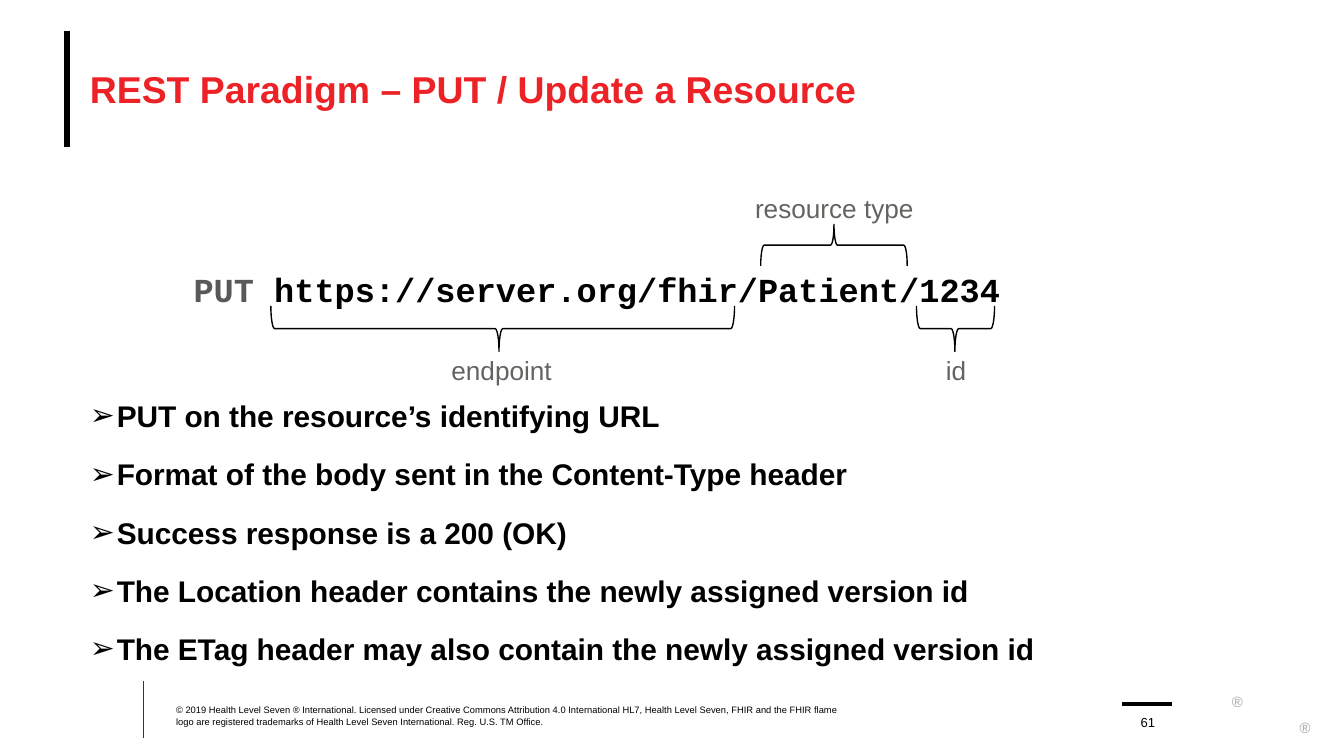
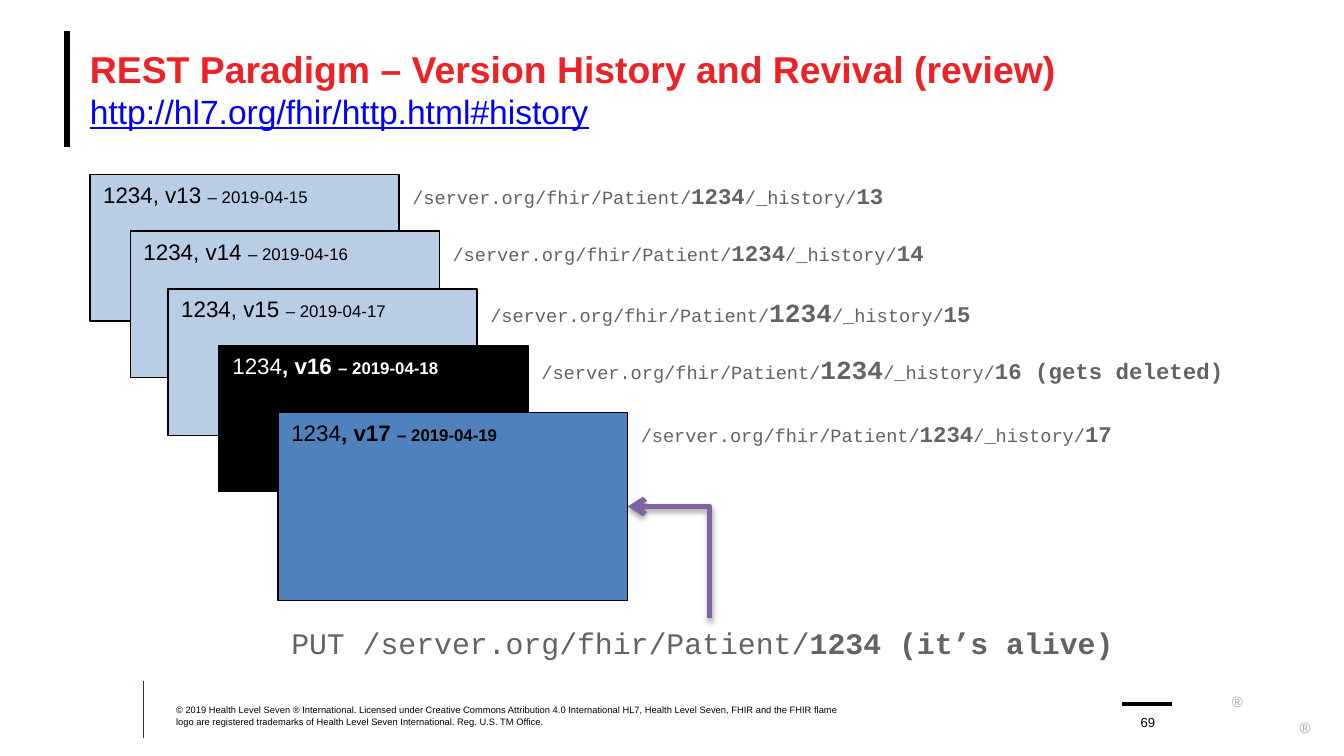
from collections import namedtuple

from lxml.etree import SubElement
from pptx import Presentation
from pptx.dml.color import RGBColor
from pptx.enum.shapes import MSO_CONNECTOR as Connector, MSO_SHAPE as Shape
from pptx.enum.text import MSO_ANCHOR as Anchor, PP_ALIGN as Align
from pptx.oxml.ns import qn
from pptx.util import Pt

COLORS = {
    "black": "000000",
    "white": "FFFFFF",
    "title": "EC2227",
    "link": "0000FF",
    "rule": "3D3029",
    "mark": "A6A6A6",
    "method": "595959",
    "label": "636360",
    "past": "B9CDE5",
    "current": "4F81BD",
    "arrow": "8064A2",
}
SANS, MONO = "Arial", "Courier New"
INSETS = (7.2, 3.6)

TITLE_BOX = (48.2, 16.6, 648, 61.9)
FOOTER_BOX = (77, 365, 628, 30.3)
COPYRIGHT = (
    "© 2019 Health Level Seven ® International. Licensed under Creative Commons "
    "Attribution 4.0 International HL7, Health Level Seven, FHIR and the FHIR flame "
    "logo are registered trademarks of Health Level Seven International. "
    "Reg. U.S. TM Office."
)

Span = namedtuple("Span", "text size color bold underline font",
                  defaults=("black", False, False, SANS))
Brace = namedtuple("Brace", "label label_box box rotation peak")
Version = namedtuple("Version", "number day box label_width fill ink bold id_size note",
                     defaults=("past", "black", False, 12, ""))

# Boxes are relative to the request line
BRACES = [
    Brace("endpoint", (131, 42.5, 68.4, 24.5), (41.4, 19.8, 248.4, 24.5), 270, 0.492),
    Brace("resource type", (293.7, -44.6, 100.1, 24.5), (303.8, -23.8, 78.5, 22.3), 90, 0.5),
    Brace("id", (396, 42.5, 28.8, 24.5), (387.3, 19.8, 41.8, 24.5), 270, 0.492),
]
PUT_RULES = [
    "PUT on the resource’s identifying URL",
    "Format of the body sent in the Content-Type header",
    "Success response is a 200 (OK)",
    "The Location header contains the newly assigned version id",
    "The ETag header may also contain the newly assigned version id",
]
VERSIONS = [
    Version(13, "2019-04-15", (48.2, 93.6, 165.6, 78.5), 387.4),
    Version(14, "2019-04-16", (69.8, 123.8, 165.6, 78.5), 398.2),
    Version(15, "2019-04-17", (90, 154.8, 165.6, 78.5), 396, id_size=14),
    Version(16, "2019-04-18", (117.4, 185, 165.6, 78.5), 396, "black", "white", True,
            14, " (gets deleted)"),
    Version(17, "2019-04-19", (149, 221, 187.2, 100.8), 356.4, "current", bold=True),
]


def rgb(name):
    return RGBColor.from_string(COLORS[name])


def points(*lengths):
    return [Pt(length) for length in lengths]


def inside(box, left, top, width, height):
    """Turn a box relative to another box into a box on the page."""
    return box[0] + left, box[1] + top, width, height


def write(para, spans):
    for span in spans:
        run = para.add_run()
        run.text = span.text
        run.font.name = span.font
        run.font.size = Pt(span.size)
        run.font.bold = span.bold
        run.font.underline = span.underline
        run.font.color.rgb = rgb(span.color)


def set_frame(frame, insets, anchor=Anchor.TOP, wrap=True):
    frame.margin_left = frame.margin_right = Pt(insets[0])
    frame.margin_top = frame.margin_bottom = Pt(insets[1])
    frame.vertical_anchor = anchor
    frame.word_wrap = wrap


def add_text(page, box, spans, insets=(0, 0), anchor=Anchor.TOP, wrap=True):
    frame = page.shapes.add_textbox(*points(*box)).text_frame
    set_frame(frame, insets, anchor, wrap)
    write(frame.paragraphs[0], spans)
    return frame


def add_effects(connector):
    return SubElement(connector._element.spPr, qn("a:effectLst"))


def add_rule(page, start, end, color, width):
    rule = page.shapes.add_connector(Connector.STRAIGHT, *points(*start, *end))
    rule.line.color.rgb = rgb(color)
    rule.line.width = Pt(width)
    add_effects(rule)


def add_outlined(page, kind, box):
    shape = page.shapes.add_shape(kind, *points(*box))
    shape.shadow.inherit = False
    shape.line.color.rgb = rgb("black")
    shape.line.width = Pt(0.75)
    return shape


def draw_title(page, box, title, link=None):
    left, top, width, height = box
    add_rule(page, (left - 12.2, top), (left - 12.2, top + height), "black", 3.25)
    frame = add_text(page, box, [Span(title, 20, "title", True)], anchor=Anchor.MIDDLE)
    if link:
        para = frame.paragraphs[0]
        para.add_line_break()
        write(para, [Span(link, 18, "link", underline=True)])


def draw_footer(page, box, number):
    left, top, width, height = box
    add_rule(page, (left, top), (left, top + height), "rule", 0.5)
    add_rule(page, (left + 524.2, top + 12.3), (left + 550.8, top + 12.3), "black", 2)
    for x, y in [(582.9, 5.8), (619.2, 20.2)]:
        add_text(page, inside(box, x, y, 8, 9.2), [Span("®", 8, "mark")], wrap=False)
    add_text(page, inside(box, 17.3, 12.3, 356.4, 12.2), [Span(COPYRIGHT, 5)],
             anchor=Anchor.BOTTOM)
    frame = add_text(page, inside(box, 527.1, 12.3, 21.6, 13.7), [Span(str(number), 7)],
                     anchor=Anchor.BOTTOM)
    frame.paragraphs[0].alignment = Align.CENTER


def draw_brace(page, box, brace):
    left, top, width, height = inside(box, *brace.box)
    # The frame is upright before it is turned about its centre
    upright = (left + (width - height) / 2, top + (height - width) / 2, height, width)
    shape = add_outlined(page, Shape.LEFT_BRACE, upright)
    shape.fill.background()
    shape.rotation = brace.rotation
    shape.adjustments[0] = 0.083
    shape.adjustments[1] = brace.peak
    add_text(page, inside(box, *brace.label_box), [Span(brace.label, 14, "label")],
             INSETS, wrap=False)


def draw_request(page, box):
    """Draw the request line with a brace for each part of its address."""
    add_text(page, box, [
        Span("PUT", 18, "method", True, font=MONO),
        Span(" https://server.org/fhir/Patient/1234", 18, bold=True, font=MONO),
    ])
    for brace in BRACES:
        draw_brace(page, box, brace)


def draw_bullets(page, box, lines):
    frame = page.shapes.add_textbox(*points(*box)).text_frame
    set_frame(frame, (0, 0))
    for index, line in enumerate(lines):
        para = frame.add_paragraph() if index else frame.paragraphs[0]
        props = para._p.get_or_add_pPr()
        props.set("marL", str(Pt(14.4)))
        props.set("indent", str(-Pt(14.4)))
        SubElement(props, qn("a:buFont"), typeface=SANS)
        SubElement(props, qn("a:buChar"), char="➢")
        para.space_before = Pt(6 if index else 0)
        para.space_after = Pt(6)
        write(para, [Span(line, 16, bold=True)])


def draw_version(page, box, version):
    """Draw the card of a version and, to its right, its address."""
    left, top, width, height = box
    card = add_outlined(page, Shape.RECTANGLE, box)
    card.fill.solid()
    card.fill.fore_color.rgb = rgb(version.fill)
    set_frame(card.text_frame, INSETS)
    para = card.text_frame.paragraphs[0]
    para.alignment = Align.LEFT
    write(para, [
        Span("1234", 12, version.ink),
        Span(f", v{version.number} ", 12, version.ink, version.bold),
        Span(f"– {version.day}", 9, version.ink, version.bold),
    ])
    label_height = 24.5 if version.id_size == 14 else 21.6
    add_text(page, (left + width, top + 0.7, version.label_width, label_height), [
        Span("/server.org/fhir/Patient/", 10, "label", font=MONO),
        Span("1234", version.id_size, "label", True, font=MONO),
        Span("/_history/", 10, "label", font=MONO),
        Span(f"{version.number}{version.note}", 12, "label", True, font=MONO),
    ], INSETS)


def draw_revival(page, box):
    """Draw the request that revives the record and its arrow up to the last card."""
    left, top, width, height = box
    add_text(page, box, [
        Span("PUT /server.org/fhir/Patient/", 16, "label", font=MONO),
        Span("1234 (it’s alive)", 16, "label", True, font=MONO),
    ], INSETS)

    run, rise = 43.9, 59.8
    center_x, center_y = left + 187.2 + run / 2, top - rise / 2
    arrow = page.shapes.add_connector(Connector.ELBOW, *points(
        center_x - rise / 2, center_y + run / 2, center_x + rise / 2, center_y - run / 2))
    arrow.line.color.rgb = rgb("arrow")
    arrow.line.width = Pt(3)
    props = arrow._element.spPr
    props.find(qn("a:xfrm")).set("rot", str(270 * 60000))
    props.find(qn("a:prstGeom")).set("prst", "bentConnector2")
    SubElement(props.find(qn("a:ln")), qn("a:tailEnd"), type="arrow")
    shadow = SubElement(add_effects(arrow), qn("a:outerShdw"), blurRad=str(Pt(3.1)),
                        dist=str(Pt(1.8)), dir=str(90 * 60000), rotWithShape="0")
    shade = SubElement(shadow, qn("a:srgbClr"), val=COLORS["black"])
    SubElement(shade, qn("a:alpha"), val="35000")


def add_page(deck, number, title, link=None):
    page = deck.slides.add_slide(deck.slide_layouts[6])
    draw_title(page, TITLE_BOX, title, link)
    draw_footer(page, FOOTER_BOX, number)
    return page


def add_update_page(deck):
    page = add_page(deck, 61, "REST Paradigm – PUT / Update a Resource")
    draw_request(page, (103.7, 144, 437.8, 25.2))
    draw_bullets(page, (48.2, 213.1, 648, 78.5), PUT_RULES)


def add_history_page(deck):
    page = add_page(deck, 69, "REST Paradigm – Version History and Revival (review)",
                    "http://hl7.org/fhir/http.html#history")
    for version in VERSIONS:
        draw_version(page, version.box, version)
    draw_revival(page, (149, 331.2, 463, 26.6))


def main():
    deck = Presentation()
    deck.slide_width, deck.slide_height = points(720, 405)
    add_update_page(deck)
    add_history_page(deck)
    deck.save("out.pptx")


if __name__ == "__main__":
    main()
